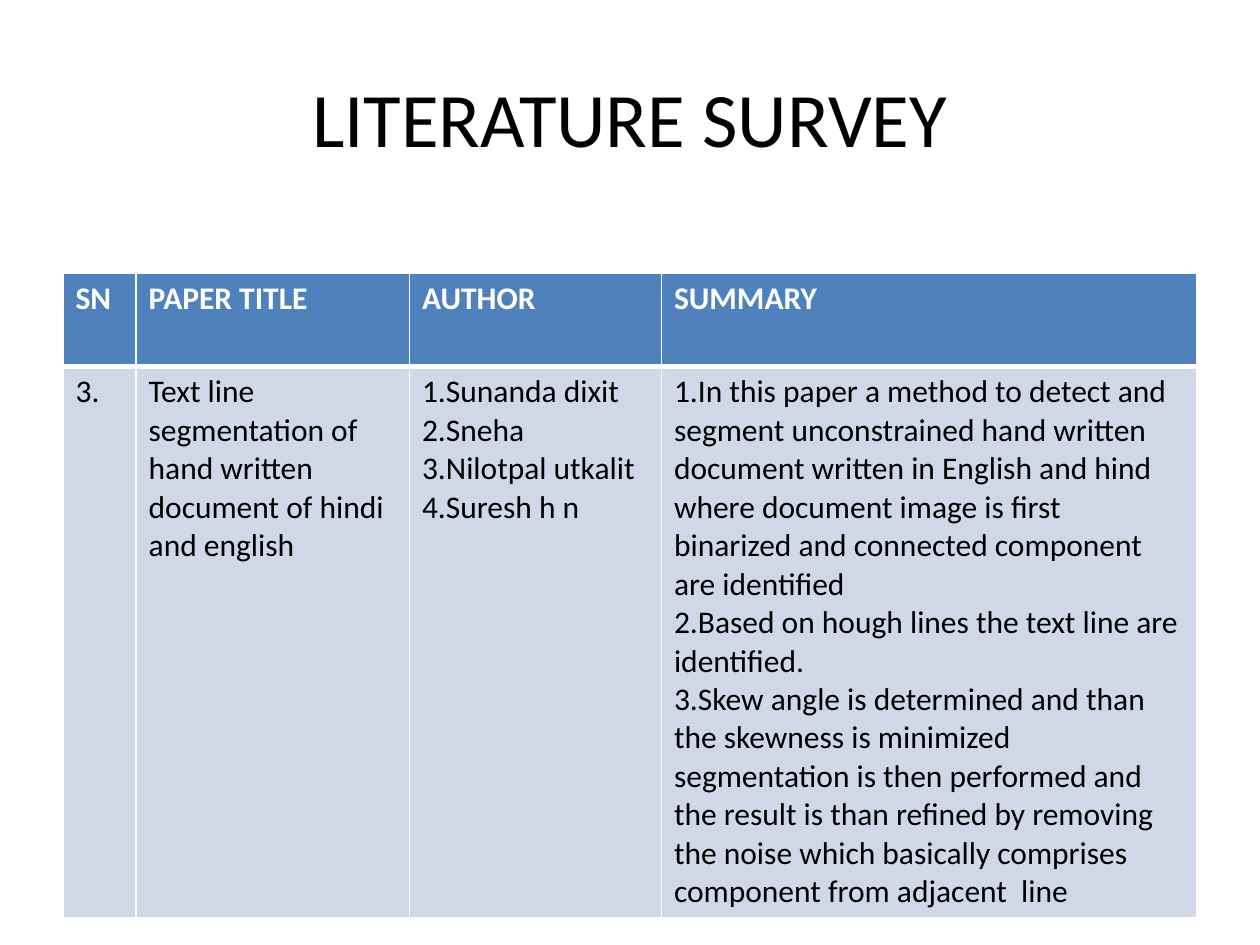
from dataclasses import dataclass

from lxml import etree
from pptx import Presentation
from pptx.dml.color import RGBColor
from pptx.enum import text
from pptx.oxml import ns
from pptx.util import Inches, Pt


@dataclass(frozen=True)
class Theme:
    font: str = "Calibri"
    title_size: int = 44
    table_size: int = 18
    black: str = "000000"
    white: str = "FFFFFF"
    header_fill: str = "4F81BD"
    body_fill: str = "D0D8E8"
    thin_line: int = 1
    thick_line: int = 3


THEME = Theme()
COLUMN_WIDTHS = (0.58, 2.17, 2, 4.25)
ROW_HEIGHTS = (0.74, 4.36)
HEADERS = ("SN", "PAPER TITLE", "AUTHOR", "SUMMARY")
PAPER = (
    ("3.",),
    ("Text line segmentation of hand written document of hindi and english",),
    ("1.Sunanda dixit", "2.Sneha", "3.Nilotpal utkalit", "4.Suresh h n"),
    (
        "1.In this paper a method to detect and segment unconstrained hand written "
        "document written in English and hind where document image is first "
        "binarized and connected component are identified",
        "2.Based on hough lines the text line are identified.",
        "3.Skew angle is determined and than the skewness is minimized segmentation "
        "is then performed and the result is than refined by removing the noise "
        "which basically comprises component from adjacent  line",
    ),
)


def add_run(paragraph, words, size, color, bold=False):
    run = paragraph.add_run()
    run.text = words
    run.font.name = THEME.font
    run.font.size = Pt(size)
    run.font.bold = bold
    run.font.color.rgb = RGBColor.from_string(color)


def set_title(slide, words):
    title = slide.shapes.title
    title.left, title.top = Inches(0.5), Inches(0.3)
    title.width, title.height = Inches(9), Inches(1.25)
    title.text_frame.vertical_anchor = text.MSO_ANCHOR.MIDDLE
    paragraph = title.text_frame.paragraphs[0]
    paragraph.alignment = text.PP_ALIGN.CENTER
    add_run(paragraph, words, THEME.title_size, THEME.black)


def set_borders(cell, **widths):
    properties = cell._tc.get_or_add_tcPr()
    for side in "LRTB":
        width = Pt(widths.get(side, THEME.thin_line))
        line = etree.SubElement(properties, ns.qn(f"a:ln{side}"), w=str(width))
        fill = etree.SubElement(line, ns.qn("a:solidFill"))
        etree.SubElement(fill, ns.qn("a:srgbClr"), val=THEME.white)


def fill_cell(cell, lines, is_header):
    thick_side = "B" if is_header else "T"
    set_borders(cell, **{thick_side: THEME.thick_line})
    cell.fill.solid()
    background = THEME.header_fill if is_header else THEME.body_fill
    cell.fill.fore_color.rgb = RGBColor.from_string(background)
    color = THEME.white if is_header else THEME.black
    frame = cell.text_frame
    for index, words in enumerate(lines):
        paragraph = frame.add_paragraph() if index else frame.paragraphs[0]
        add_run(paragraph, words, THEME.table_size, color, is_header)


def add_survey_table(slide):
    rows = (tuple((header,) for header in HEADERS), PAPER)
    frame = slide.shapes.add_table(
        len(rows), len(HEADERS), Inches(0.5), Inches(2.17),
        Inches(sum(COLUMN_WIDTHS)), Inches(sum(ROW_HEIGHTS)),
    )
    table = frame.table
    for column, width in zip(table.columns, COLUMN_WIDTHS):
        column.width = Inches(width)
    for row_index, (row, height) in enumerate(zip(rows, ROW_HEIGHTS)):
        table.rows[row_index].height = Inches(height)
        for column_index, lines in enumerate(row):
            fill_cell(table.cell(row_index, column_index), lines, row_index == 0)


def main():
    presentation = Presentation()
    presentation.slide_width = Inches(10)
    presentation.slide_height = Inches(7.5)
    slide = presentation.slides.add_slide(presentation.slide_layouts[5])
    set_title(slide, "LITERATURE SURVEY")
    add_survey_table(slide)
    presentation.save("out.pptx")


if __name__ == "__main__":
    main()
